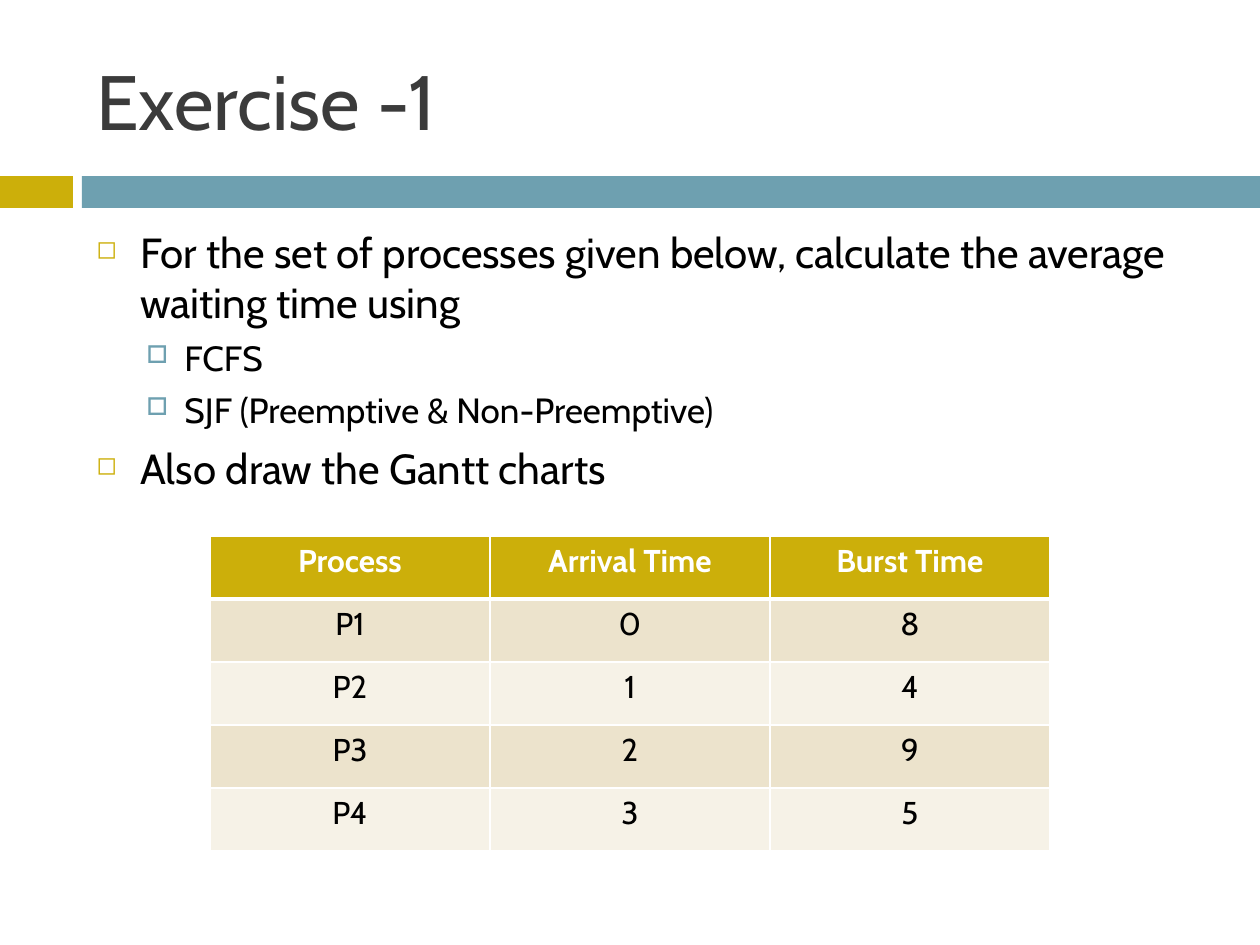
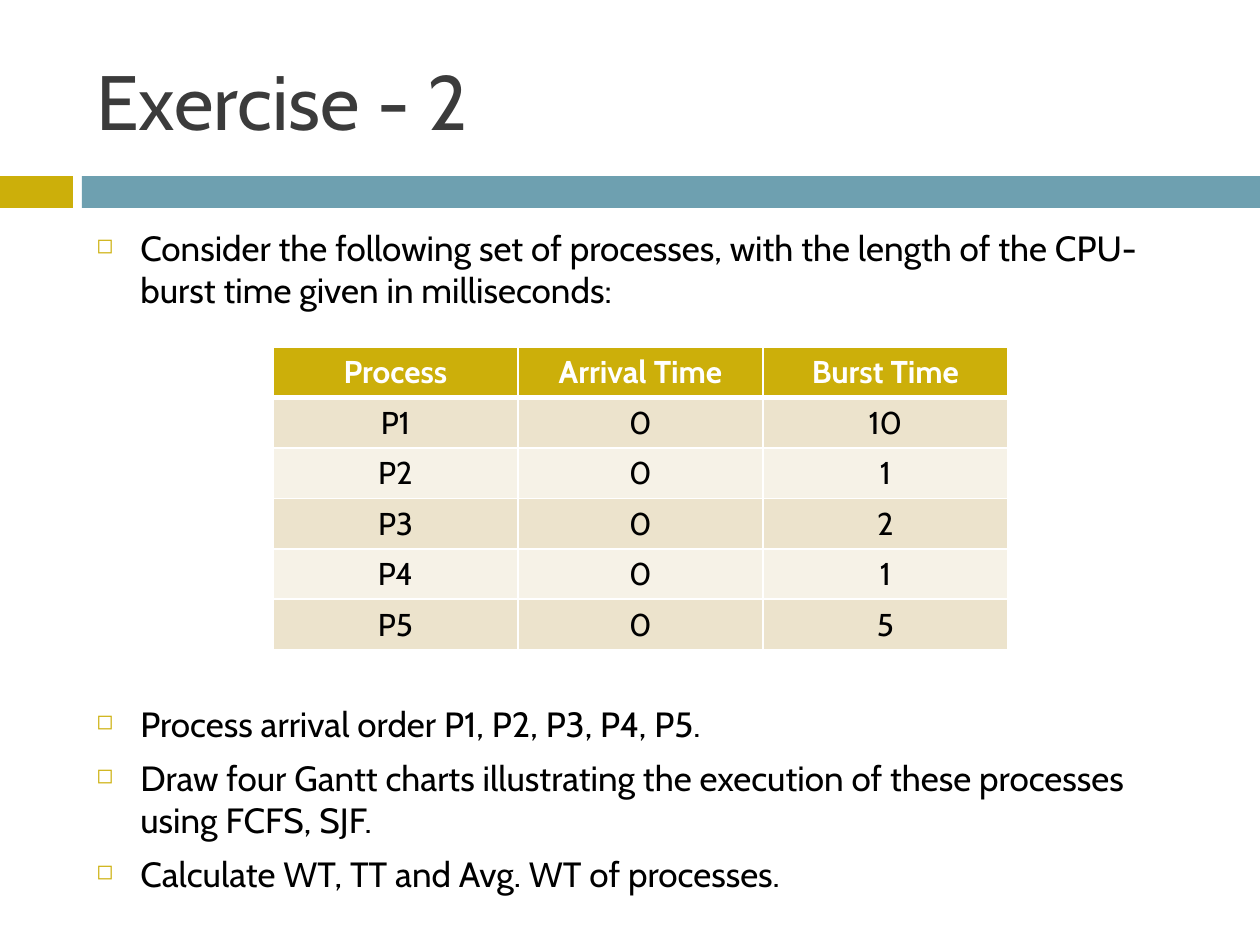
from dataclasses import dataclass

from lxml import etree
from pptx import Presentation
from pptx.dml.color import RGBColor
from pptx.enum.shapes import MSO_SHAPE
from pptx.enum.text import MSO_ANCHOR, PP_ALIGN
from pptx.oxml.ns import qn
from pptx.slide import Slide
from pptx.table import _Cell
from pptx.text.text import TextFrame, _Paragraph
from pptx.util import Emu, Pt

RECTANGLE = MSO_SHAPE.RECTANGLE
MIDDLE, TOP = MSO_ANCHOR.MIDDLE, MSO_ANCHOR.TOP
CENTER = PP_ALIGN.CENTER
PIXELS_PER_INCH = 126
FONT = "Cabin"
GOLD, TEAL, WHITE, BLACK, CHARCOAL = "CCAF0A", "6EA0B0", "FFFFFF", "000000", "3B3B3B"
ROW_FILLS = ("ECE3CC", "F6F2E7")
HEADINGS = ("Process", "Arrival Time", "Burst Time")


@dataclass(frozen=True)
class Box:
    left: int
    top: int
    width: int
    height: int


@dataclass(frozen=True)
class BulletStyle:
    mark: str
    color: str
    percent: int
    margin: int
    hanging: int
    space_before: float


@dataclass(frozen=True)
class Point:
    text: str
    size: int
    level: int = 0
    space_before: float | None = None


@dataclass(frozen=True)
class ProcessTable:
    left: int
    top: int
    column_width: int
    row_height: int
    rows: tuple[tuple[str, str, str], ...]


@dataclass(frozen=True)
class Exercise:
    title: str
    body_height: int
    points: tuple[Point, ...]
    table: ProcessTable


@dataclass(frozen=True)
class Band:
    box: Box
    color: str


BANDS = (Band(Box(0, 176, 73, 32), GOLD), Band(Box(82, 176, 1178, 32), TEAL))
TITLE_BOX = Box(84, 32, 1124, 136)
BODY_LEFT, BODY_TOP, BODY_WIDTH = 84, 220, 1124
BULLETS = (
    BulletStyle("\u25fb", GOLD, 60, 44, 44, 7),
    BulletStyle("\u25a1", TEAL, 70, 88, 38, 5.5),
)
EXERCISES = (
    Exercise(
        "Exercise -1",
        305,
        (
            Point("For the set of processes given below, calculate the average waiting time using", 24),
            Point("FCFS", 20, 1),
            Point("SJF (Preemptive & Non-Preemptive)", 20, 1),
            Point("Also draw the Gantt charts", 24),
        ),
        ProcessTable(
            210, 536, 280, 63,
            (("P1", "0", "8"), ("P2", "1", "4"), ("P3", "2", "9"), ("P4", "3", "5")),
        ),
    ),
    Exercise(
        "Exercise - 2",
        683,
        (
            Point("Consider the following set of processes, with the length of the "
                  "CPU-burst time given in milliseconds:", 20),
            Point("Process arrival order P1, P2, P3, P4, P5.", 20, space_before=224),
            Point("Draw four Gantt charts illustrating the execution of these processes "
                  "using FCFS, SJF.", 20),
            Point("Calculate WT, TT and Avg. WT of processes.", 20),
        ),
        ProcessTable(
            273, 347, 245, 50,
            (("P1", "0", "10"), ("P2", "0", "1"), ("P3", "0", "2"), ("P4", "0", "1"), ("P5", "0", "5")),
        ),
    ),
)


def px(length: int) -> Emu:
    """Turn pixels into EMU."""
    return Emu(round(length * 914400 / PIXELS_PER_INCH))


def place(box: Box) -> tuple[Emu, Emu, Emu, Emu]:
    """Return the position and size of a box in EMU."""
    return px(box.left), px(box.top), px(box.width), px(box.height)


def rgb(color: str) -> RGBColor:
    """Turn a hex string into a colour."""
    return RGBColor.from_string(color)


def add_span(para: _Paragraph, text: str, size: int, color: str, bold: bool = False) -> None:
    """Add one formatted run to a paragraph."""
    span = para.add_run()
    span.text = text
    span.font.name = FONT
    span.font.size = Pt(size)
    span.font.bold = bold
    span.font.color.rgb = rgb(color)


def add_band(page: Slide, band: Band) -> None:
    """Draw one plain coloured band."""
    shape = page.shapes.add_shape(RECTANGLE, *place(band.box))
    shape.shadow.inherit = False
    shape.fill.solid()
    shape.fill.fore_color.rgb = rgb(band.color)
    shape.line.fill.background()


def add_text_frame(page: Slide, box: Box, anchor: MSO_ANCHOR) -> TextFrame:
    """Add a wrapping text box and return its frame."""
    frame = page.shapes.add_textbox(*place(box)).text_frame
    frame.word_wrap = True
    frame.vertical_anchor = anchor
    return frame


def set_bullet(para: _Paragraph, style: BulletStyle) -> None:
    """Give a paragraph its hanging indent and bullet."""
    properties = para._p.get_or_add_pPr()
    properties.set("marL", str(px(style.margin)))
    properties.set("indent", str(-px(style.hanging)))
    color = etree.SubElement(properties, qn("a:buClr"))
    etree.SubElement(color, qn("a:srgbClr"), val=style.color)
    etree.SubElement(properties, qn("a:buSzPct"), val=str(style.percent * 1000))
    etree.SubElement(properties, qn("a:buChar"), char=style.mark)


def add_points(page: Slide, exercise: Exercise) -> None:
    """Write the bulleted body of an exercise."""
    frame = add_text_frame(page, Box(BODY_LEFT, BODY_TOP, BODY_WIDTH, exercise.body_height), TOP)
    for index, point in enumerate(exercise.points):
        para = frame.add_paragraph() if index else frame.paragraphs[0]
        style = BULLETS[point.level]
        para.level = point.level
        para.space_before = Pt(point.space_before or style.space_before)
        set_bullet(para, style)
        add_span(para, point.text, point.size, BLACK)


def set_borders(cell: _Cell, top: int, bottom: int) -> None:
    """Draw white borders around a cell, with widths in points."""
    properties = cell._tc.get_or_add_tcPr()
    for side, width in (("L", 1), ("R", 1), ("T", top), ("B", bottom)):
        line = etree.SubElement(properties, qn(f"a:ln{side}"), w=str(Pt(width)))
        fill = etree.SubElement(line, qn("a:solidFill"))
        etree.SubElement(fill, qn("a:srgbClr"), val=WHITE)


def add_process_table(page: Slide, spec_table: ProcessTable) -> None:
    """Draw a process table with a gold heading and banded rows."""
    rows = (HEADINGS, *spec_table.rows)
    box = Box(spec_table.left, spec_table.top,
              spec_table.column_width * len(HEADINGS), spec_table.row_height * len(rows))
    table = page.shapes.add_table(len(rows), len(HEADINGS), *place(box)).table
    table.horz_banding = False
    for column in table.columns:
        column.width = px(spec_table.column_width)
    for row_index, values in enumerate(rows):
        heading = row_index == 0
        table.rows[row_index].height = px(spec_table.row_height)
        for column_index, value in enumerate(values):
            cell = table.cell(row_index, column_index)
            set_borders(cell, 3 if row_index == 1 else 1, 3 if heading else 1)
            cell.fill.solid()
            cell.fill.fore_color.rgb = rgb(GOLD if heading else ROW_FILLS[(row_index - 1) % 2])
            para = cell.text_frame.paragraphs[0]
            para.alignment = CENTER
            add_span(para, value, 18, WHITE if heading else BLACK, heading)


def add_exercise(deck: Presentation, exercise: Exercise) -> None:
    """Add one exercise slide to the deck."""
    page = deck.slides.add_slide(deck.slide_layouts[6])
    for band in BANDS:
        add_band(page, band)
    title = add_text_frame(page, TITLE_BOX, MIDDLE)
    add_span(title.paragraphs[0], exercise.title, 44, CHARCOAL)
    add_points(page, exercise)
    add_process_table(page, exercise.table)


def main() -> None:
    """Build and save the deck."""
    deck = Presentation()
    deck.slide_width, deck.slide_height = px(1260), px(945)
    for exercise in EXERCISES:
        add_exercise(deck, exercise)
    deck.save("out.pptx")


main()
